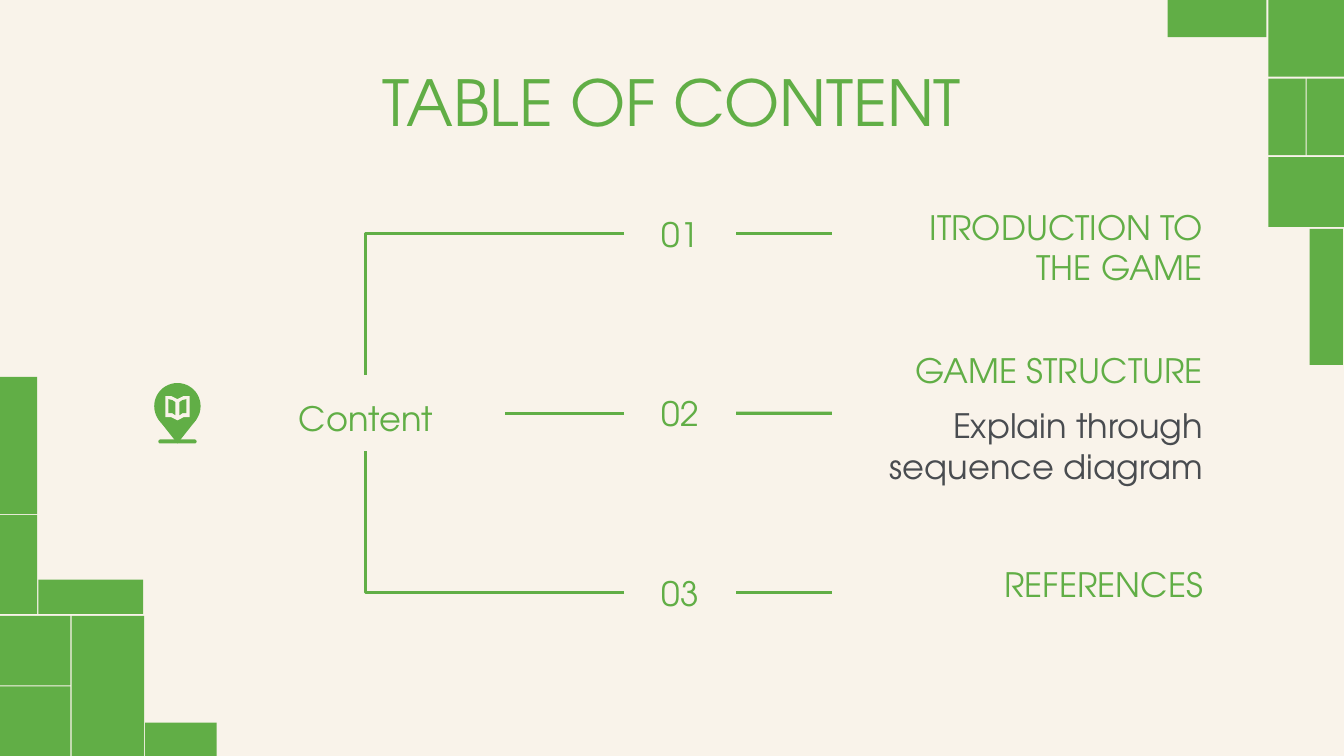
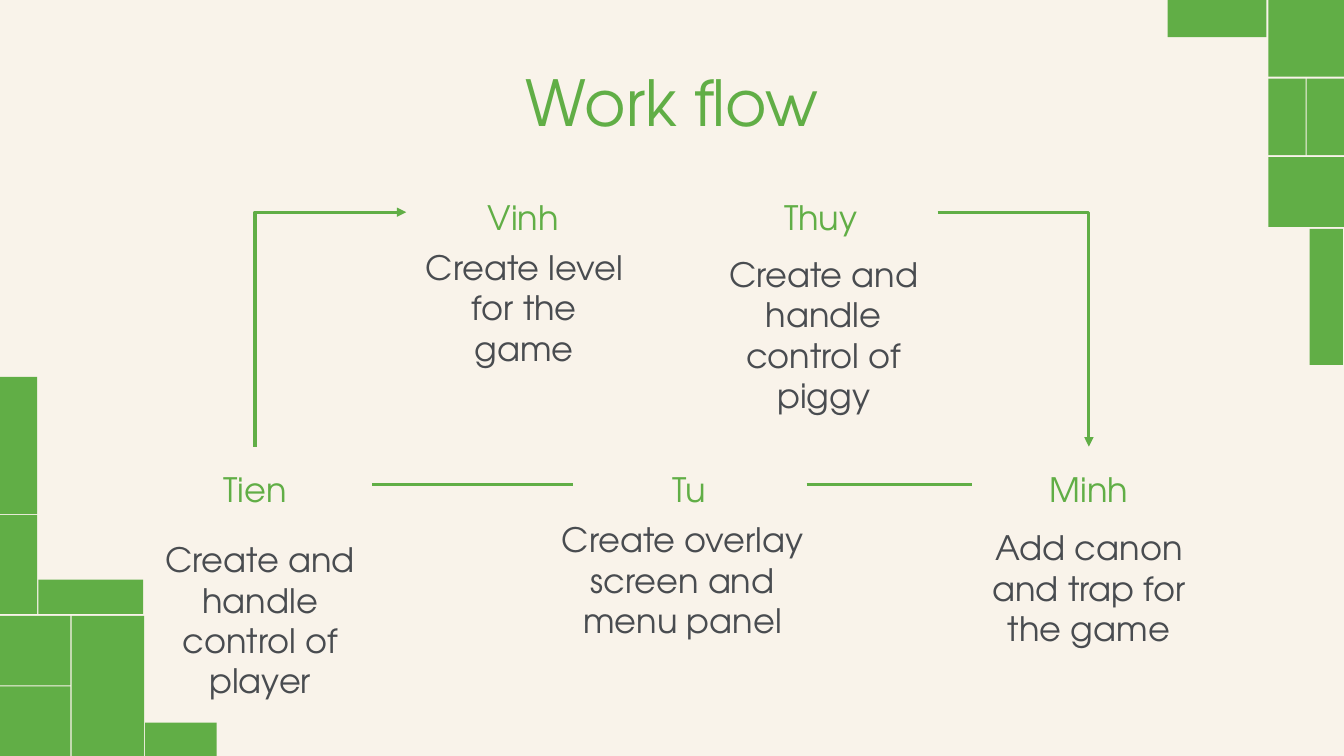
from lxml import etree
from pptx import Presentation
from pptx import util as u
from pptx.dml.color import RGBColor
from pptx.enum import shapes, text
from pptx.oxml.ns import qn

COLORS = {"green": "61AE46", "cream": "F9F3EA", "gray": "494C50"}
FONT = "TeX Gyre Adventor"
TITLE_BOX = (1.05, 0.5, 11.23, 0.89)
INSET = 0.13
TOP, LEFT, BOTTOM, RIGHT = range(4)
CORNER_BLOCKS = [
    (1.44, 7.17, 0.71, 0.33), (0, 6.11, 0.7, 0.69), (0, 6.81, 0.7, 0.69),
    (0, 3.74, 0.37, 1.36), (0, 5.11, 0.37, 0.98), (0.38, 5.75, 1.04, 0.34),
    (0.71, 6.11, 0.72, 1.39),
    (12.58, 0, 0.75, 0.76), (12.99, 2.27, 0.33, 1.35), (12.58, 1.56, 0.75, 0.69),
    (11.58, 0, 0.98, 0.37), (12.58, 0.78, 0.37, 0.76), (12.96, 0.78, 0.37, 0.76),
]


def inches(values):
    return [u.Inches(value) for value in values]


def color(name):
    return RGBColor.from_string(COLORS[name])


def paint(shape, name):
    shape.shadow.inherit = False
    shape.fill.solid()
    shape.fill.fore_color.rgb = color(name)
    shape.line.fill.background()


def add_block(slide, kind, box, name="green"):
    shape = slide.shapes.add_shape(kind, *inches(box))
    paint(shape, name)
    return shape


def add_polygon(slide, left, top, points, name):
    corners = [inches((left + x, top + y)) for x, y in points]
    builder = slide.shapes.build_freeform(*corners[0], scale=1.0)
    builder.add_line_segments(corners[1:], close=True)
    paint(builder.convert_to_shape(), name)


def write(shape, words, size, name, align, anchor):
    frame = shape.text_frame
    frame.text = words
    frame.word_wrap = True
    frame.auto_size = text.MSO_AUTO_SIZE.NONE
    frame.vertical_anchor = anchor
    frame.margin_left = frame.margin_right = u.Inches(INSET)
    frame.margin_top = frame.margin_bottom = u.Inches(INSET)
    paragraph = frame.paragraphs[0]
    paragraph.alignment = align
    font = paragraph.runs[0].font
    font.name = FONT
    font.size = u.Pt(size)
    font.color.rgb = color(name)


def add_label(slide, words, box, name="green", align=text.PP_ALIGN.CENTER,
              anchor=text.MSO_ANCHOR.BOTTOM):
    label = slide.shapes.add_textbox(*inches(box))
    write(label, words, 24, name, align, anchor)
    return label


def style_connector(connector, arrow=None):
    connector.line.color.rgb = color("green")
    connector.line.width = u.Pt(2.25)
    if arrow:
        line = connector.line._get_or_add_ln()
        etree.SubElement(line, qn(f"a:{arrow}"), type="triangle")
    properties = connector.element.find(qn("p:spPr"))
    etree.SubElement(properties, qn("a:effectLst"))


def join(slide, start, start_side, end, end_side, bent=False, arrow=None):
    kind = shapes.MSO_CONNECTOR.ELBOW if bent else shapes.MSO_CONNECTOR.STRAIGHT
    connector = slide.shapes.add_connector(kind, 0, 0, 0, 0)
    connector.begin_connect(start, start_side)
    connector.end_connect(end, end_side)
    if bent:
        geometry = connector.element.find(".//" + qn("a:prstGeom"))
        geometry.set("prst", "bentConnector2")
    style_connector(connector, arrow)


def build_layout(presentation):
    layout = presentation.slide_layouts.get_by_name("Title Only")
    background = layout.background.fill
    background.solid()
    background.fore_color.rgb = color("cream")
    for placeholder in list(layout.placeholders):
        if placeholder.placeholder_format.type == shapes.PP_PLACEHOLDER.TITLE:
            title = placeholder
        else:
            placeholder.element.getparent().remove(placeholder.element)
    title.left, title.top, title.width, title.height = inches(TITLE_BOX)
    return layout


def move_corners_to_layout(slide, layout):
    blocks = [add_block(slide, shapes.MSO_SHAPE.RECTANGLE, box) for box in CORNER_BLOCKS]
    for block in blocks:
        layout.shapes.element.append(block.element)


def add_titled_slide(presentation, layout, words):
    slide = presentation.slides.add_slide(layout)
    write(slide.shapes.title, words, 45.3, "green",
          text.PP_ALIGN.CENTER, text.MSO_ANCHOR.TOP)
    return slide


def add_book_pin(slide, left, top):
    add_block(slide, shapes.MSO_SHAPE.OVAL, (left, top, 0.46, 0.46))
    add_polygon(slide, left, top, [(0.04, 0.36), (0.42, 0.36), (0.23, 0.6)], "green")
    base = add_block(slide, shapes.MSO_SHAPE.ROUNDED_RECTANGLE,
                     (left + 0.04, top + 0.56, 0.38, 0.04))
    base.adjustments[0] = 0.5
    book = [(0.11, 0.13), (0.17, 0.13), (0.23, 0.16), (0.29, 0.13), (0.35, 0.13),
            (0.35, 0.34), (0.29, 0.34), (0.23, 0.37), (0.17, 0.34), (0.11, 0.34)]
    add_polygon(slide, left, top, book, "cream")
    page = [(0.14, 0.16), (0.18, 0.17), (0.21, 0.19), (0.21, 0.32), (0.18, 0.3), (0.14, 0.3)]
    add_polygon(slide, left, top, page, "green")
    add_polygon(slide, left, top, [(0.46 - x, y) for x, y in page], "green")


def add_contents(slide, left, top):
    hub = add_label(slide, "Content", (left, top + 1.98, 2.76, 0.76))
    add_book_pin(slide, left - 0.72, top + 2.06)
    entries = [
        ("ITRODUCTION TO THE GAME", 0.13, 1.11, TOP),
        ("GAME STRUCTURE", 0, 0.48, RIGHT),
        ("REFERENCES", 0.34, 0.48, BOTTOM),
    ]
    for index, (words, offset, height, hub_side) in enumerate(entries):
        row_top = top + index * 1.78
        number = add_label(slide, f"{index + 1:02}", (left + 3.94, row_top, 1.11, 1.16),
                           anchor=text.MSO_ANCHOR.MIDDLE)
        join(slide, number, LEFT, hub, hub_side, bent=hub_side != RIGHT)
        middle = row_top + 0.58
        dash = slide.shapes.add_connector(
            shapes.MSO_CONNECTOR.STRAIGHT,
            *inches((left + 5.05, middle, left + 6, middle)))
        dash.begin_connect(number, RIGHT)
        style_connector(dash)
        add_label(slide, words, (left + 6.23, row_top + offset, 3.58, height),
                  align=text.PP_ALIGN.RIGHT)
    add_label(slide, "Explain through sequence diagram", (left + 6.23, top + 2.15, 3.58, 0.93),
              "gray", text.PP_ALIGN.RIGHT, text.MSO_ANCHOR.TOP)


def add_member(slide, name, task, left, top, task_left, task_top, task_width):
    label = add_label(slide, name, (left, top, 2.32, 0.75))
    add_label(slide, task, (left + task_left, top + task_top, task_width, 0.84),
              "gray", anchor=text.MSO_ANCHOR.TOP)
    return label


def add_workflow(slide, left, top):
    lower = top + 2.7
    vinh = add_member(slide, "Vinh", "Create level for the game",
                      left + 2.66, top, 0.01, 0.59, 2.32)
    thuy = add_member(slide, "Thuy", "Create and handle control of piggy",
                      left + 5.61, top, -0.02, 0.66, 2.42)
    tien = add_member(slide, "Tien", "Create and handle control of player",
                      left, lower, 0, 0.79, 2.42)
    tu = add_member(slide, "Tu", "Create overlay screen and menu panel",
                    left + 4.31, lower, -0.27, 0.59, 2.72)
    minh = add_member(slide, "Minh", "Add canon and trap for the game",
                      left + 8.27, lower, 0, 0.67, 2.32)
    join(slide, vinh, LEFT, tien, TOP, bent=True, arrow="headEnd")
    join(slide, thuy, RIGHT, minh, TOP, bent=True, arrow="tailEnd")
    join(slide, tien, RIGHT, tu, LEFT)
    join(slide, tu, RIGHT, minh, LEFT)


def main():
    presentation = Presentation()
    presentation.slide_width, presentation.slide_height = inches((13.33, 7.5))
    layout = build_layout(presentation)
    contents = add_titled_slide(presentation, layout, "TABLE OF CONTENT")
    move_corners_to_layout(contents, layout)
    add_contents(contents, 2.25, 1.74)
    workflow = add_titled_slide(presentation, layout, "Work flow")
    add_workflow(workflow, 1.37, 1.73)
    presentation.save("out.pptx")


if __name__ == "__main__":
    main()
